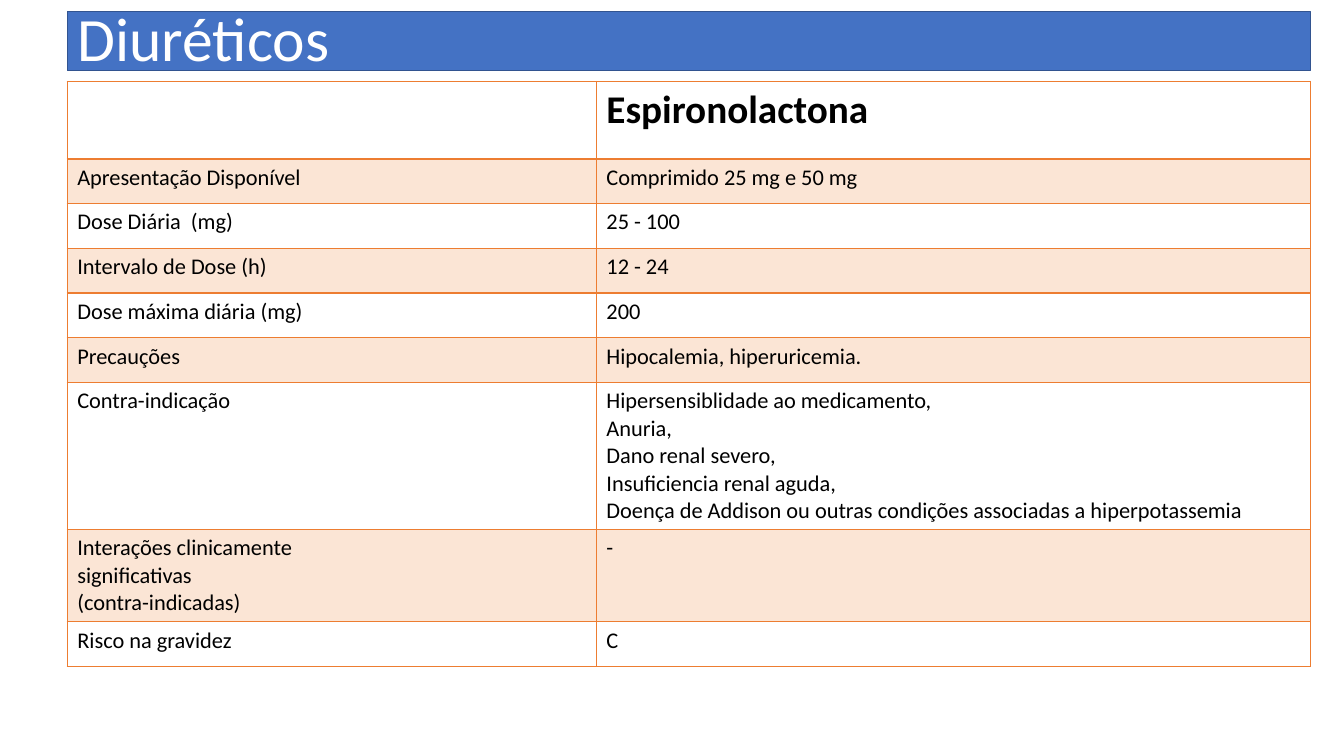
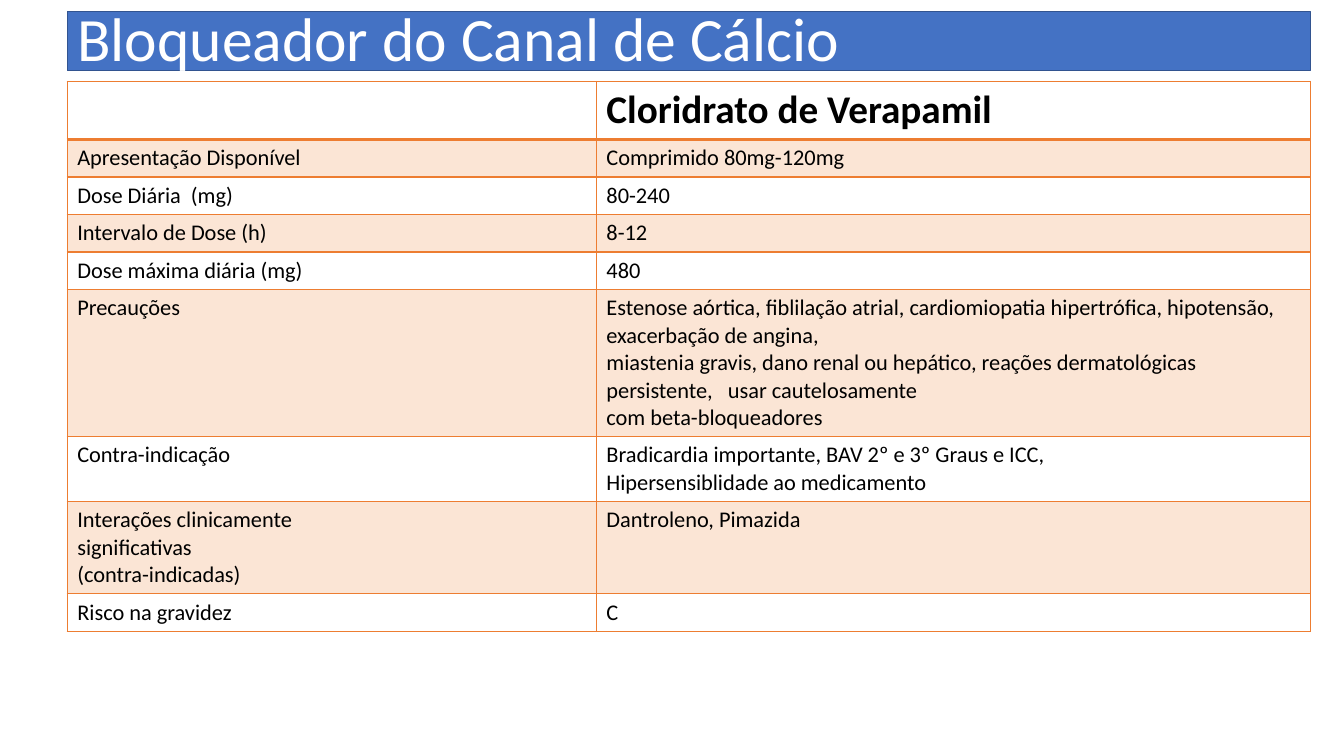
from pptx import Presentation
from pptx.dml.color import RGBColor
from pptx.enum.text import MSO_ANCHOR, MSO_AUTO_SIZE, PP_ALIGN
from pptx.oxml import parse_xml
from pptx.oxml.ns import nsdecls, qn
from pptx.util import Inches, Pt

COLORS = {"band": "4472C4", "band_line": "325490", "accent": "ED7D31",
          "title": "FFFFFF", "text": "000000"}
FONTS = {
    "title": {"name": "Calibri", "size": Pt(44), "bold": False},
    "header": {"name": "Calibri", "size": Pt(28), "bold": True},
    "body": {"name": "Calibri", "size": Pt(16), "bold": False},
}
TITLE_FRAME = {"auto_size": MSO_AUTO_SIZE.NONE, "word_wrap": True,
               "vertical_anchor": MSO_ANCHOR.MIDDLE}
TITLE_PARAGRAPH = {"alignment": PP_ALIGN.LEFT, "line_spacing": 0.9}

# Grid of 160 columns by 90 rows
GRID_COLS, GRID_ROWS = 160, 90
LEFT, LABEL_COLS, VALUE_COLS = 8, 63, 85
TITLE_TOP, TITLE_ROWS, TABLE_TOP = 1.4, 7, 9.7
LINE_ROWS, CELL_PADDING = 3.26, 1.2
THIN, THICK, TINT = 0.96, 1.98, 20

LABELS = ["Apresentação Disponível", "Dose Diária  (mg)", "Intervalo de Dose (h)",
          "Dose máxima diária (mg)", "Precauções", "Contra-indicação",
          "Interações clinicamente\nsignificativas\n(contra-indicadas)",
          "Risco na gravidez"]

DRUGS = [
    {"title": "Diuréticos", "name": "Espironolactona",
     "header_rows": 9.2, "min_rows": 5.33,
     "values": [
         "Comprimido 25 mg e 50 mg", "25 - 100", "12 - 24", "200",
         "Hipocalemia, hiperuricemia.",
         "Hipersensiblidade ao medicamento,\nAnuria,\nDano renal severo,\n"
         "Insuficiencia renal aguda,\n"
         "Doença de Addison ou outras condições associadas a hiperpotassemia",
         "-", "C"]},
    {"title": "Bloqueador do Canal de Cálcio", "name": "Cloridrato de Verapamil",
     "header_rows": 6.8, "min_rows": 4.46,
     "values": [
         "Comprimido 80mg-120mg", "80-240", "8-12", "480",
         "Estenose aórtica, fiblilação atrial, cardiomiopatia hipertrófica, "
         "hipotensão, exacerbação de angina,\n"
         "miastenia gravis, dano renal ou hepático, reações dermatológicas "
         "persistente,   usar cautelosamente\ncom beta-bloqueadores",
         "Bradicardia importante, BAV 2º e 3º Graus e ICC,\n"
         "Hipersensiblidade ao medicamento",
         "Dantroleno, Pimazida", "C"]},
]


def rgb(key):
    return RGBColor.from_string(COLORS[key])


def set_attrs(target, values):
    for name, value in values.items():
        setattr(target, name, value)


class Deck:
    """Holds the shared style and the slide being built."""

    def __init__(self):
        self.prs = Presentation()
        self.prs.slide_width, self.prs.slide_height = Inches(13.33), Inches(7.5)
        self.s = None

    def x(self, cols):
        return round(self.prs.slide_width * cols / GRID_COLS)

    def y(self, rows):
        return round(self.prs.slide_height * rows / GRID_ROWS)

    def set_text(self, tf, text, style, color, paragraph=None):
        tf.text = text
        for p in tf.paragraphs:
            set_attrs(p, paragraph or {})
            for r in p.runs:
                set_attrs(r.font, FONTS[style])
                r.font.color.rgb = rgb(color)

    def add_slide(self, title):
        self.s = self.prs.slides.add_slide(self.prs.slide_layouts[5])
        sp = self.s.shapes.title
        set_attrs(sp, {"left": self.x(LEFT), "top": self.y(TITLE_TOP),
                       "width": self.x(LABEL_COLS + VALUE_COLS),
                       "height": self.y(TITLE_ROWS)})
        sp.fill.solid()
        sp.fill.fore_color.rgb = rgb("band")
        sp.line.color.rgb = rgb("band_line")
        sp.line.width = Pt(1)
        set_attrs(sp.text_frame, TITLE_FRAME)
        self.set_text(sp.text_frame, title, "title", "title", TITLE_PARAGRAPH)

    def style_cell(self, cell, tinted, top, bottom):
        """Fill with a translucent accent or nothing, then draw four borders."""
        tcPr = cell._tc.get_or_add_tcPr()
        if tinted:
            cell.fill.solid()
            cell.fill.fore_color.rgb = rgb("accent")
            tcPr.find(".//" + qn("a:srgbClr")).append(
                parse_xml(f'<a:alpha {nsdecls("a")} val="{TINT * 1000}"/>'))
        else:
            cell.fill.background()
        sides = {"L": THIN, "R": THIN, "T": top, "B": bottom}
        for i, (side, width) in enumerate(sides.items()):
            tcPr.insert(i, parse_xml(
                f'<a:ln{side} {nsdecls("a")} w="{Pt(width)}"><a:solidFill>'
                f'<a:srgbClr val="{COLORS["accent"]}"/></a:solidFill></a:ln{side}>'))

    def add_drug_table(self, name, values, header_rows, min_rows):
        rows = [("", name), *zip(LABELS, values)]
        heights = [header_rows] + [
            max(min_rows, CELL_PADDING + LINE_ROWS * max(t.count("\n") + 1 for t in row))
            for row in rows[1:]]
        table = self.s.shapes.add_table(
            len(rows), 2, self.x(LEFT), self.y(TABLE_TOP),
            self.x(LABEL_COLS + VALUE_COLS), self.y(sum(heights))).table
        set_attrs(table, {"first_row": False, "horz_banding": False})
        for column, cols in zip(table.columns, (LABEL_COLS, VALUE_COLS)):
            column.width = self.x(cols)
        for i, (row, height) in enumerate(zip(rows, heights)):
            table.rows[i].height = self.y(height)
            for j, text in enumerate(row):
                cell = table.cell(i, j)
                self.set_text(cell.text_frame, text, "body" if i else "header", "text")
                self.style_cell(cell, tinted=i % 2 == 1,
                                top=THICK if i == 1 else THIN,
                                bottom=THICK if i == 0 else THIN)


def main():
    deck = Deck()
    for drug in DRUGS:
        deck.add_slide(drug["title"])
        deck.add_drug_table(drug["name"], drug["values"],
                            drug["header_rows"], drug["min_rows"])
    deck.prs.save("out.pptx")


if __name__ == "__main__":
    main()
